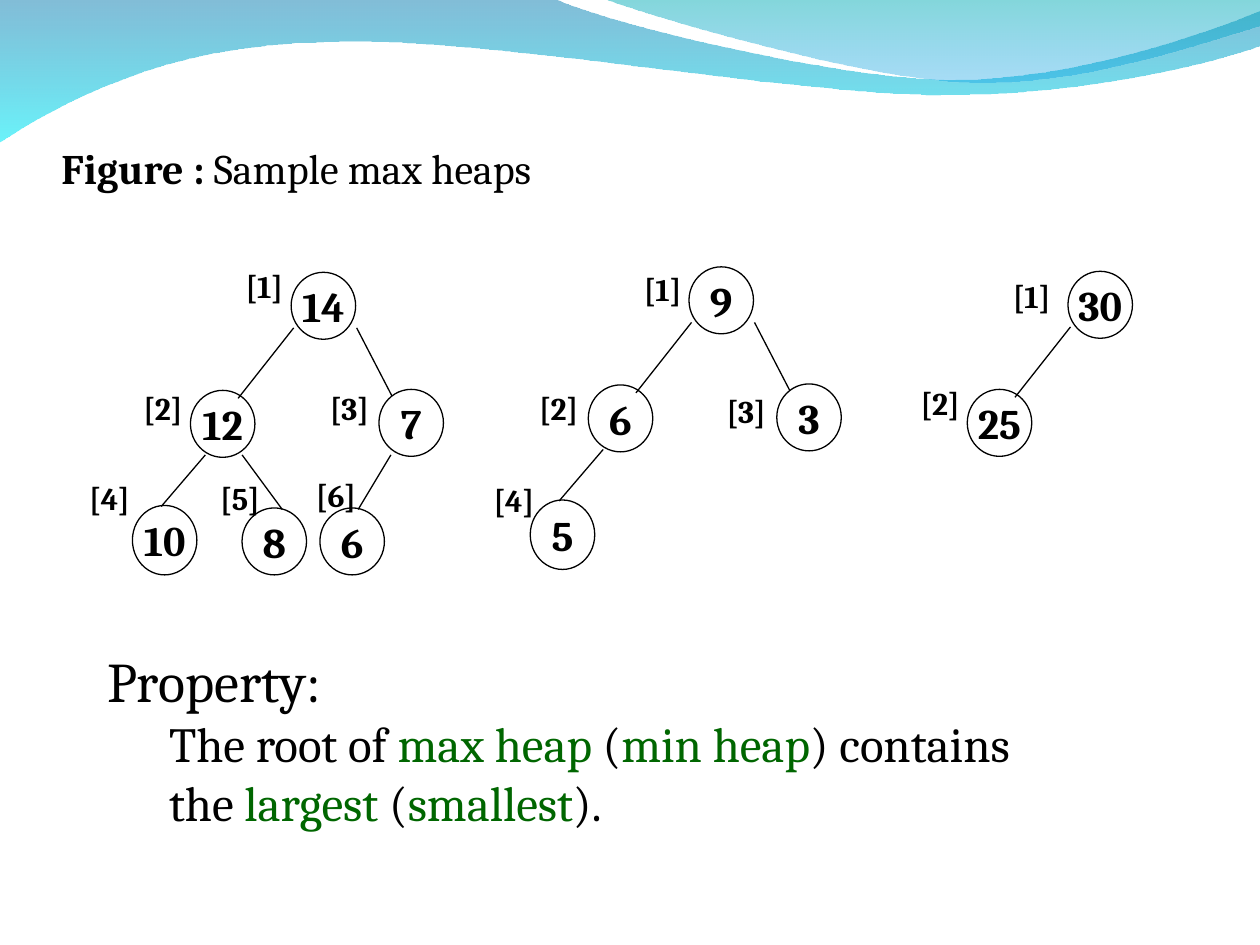
from lxml.etree import SubElement
from pptx import Presentation
from pptx.dml.color import RGBColor
from pptx.enum.shapes import MSO_CONNECTOR, MSO_SHAPE
from pptx.enum.text import MSO_ANCHOR, PP_ALIGN
from pptx.oxml.ns import qn
from pptx.util import Cm, Pt

COLORS = {"text": "000000", "term": "006600",
          "wave_top": "0079AF", "wave_bottom": "00EBF8",
          "crest_top": "00ADB6", "crest_bottom": "009BE5"}
FONT = "Cambria"


def rgb(name):
    return RGBColor.from_string(COLORS[name])


def add_text(left, top, width, height, lines, size, bold=False, wrap=False):
    """Add a text box; each line is a list of (text, colour name) runs."""
    tf = s.shapes.add_textbox(Cm(left), Cm(top), Cm(width), Cm(height)).text_frame
    tf.word_wrap = wrap
    for i, line in enumerate(lines):
        p = tf.paragraphs[0] if i == 0 else tf.add_paragraph()
        p.font.name, p.font.size, p.font.bold = FONT, Pt(size), bold
        for text, color in line:
            r = p.add_run()
            r.text = text
            r.font.color.rgb = rgb(color)
    return tf


prs = Presentation()
prs.slide_width, prs.slide_height = Cm(25.4), Cm(19.05)
s = prs.slides.add_slide(prs.slide_layouts[6])

# Header waves in 1/100 cm: two numbers make a line, six a Bezier curve
waves = [
    ((0, -2),
     [(1118, -2),
      (1209, 43, 1687, 160, 1925, 160),
      (2167, 160, 2433, 66, 2540, 23),
      (2543, 91),
      (2497, 112, 2210, 193, 1895, 191),
      (1580, 191, 970, 71, 653, 86),
      (328, 89, 117, 211, -3, 287)],
     [("wave_top", 49), ("wave_bottom", 59)]),
    ((1217, -2),
     [(1293, 28, 1732, 157, 1953, 165),
      (2174, 175, 2441, 81, 2540, 53),
      (2540, 0)],
     [("crest_top", 49), ("crest_bottom", 34)]),
]
for start, segments, stops in waves:
    anchors = [start] + [segment[-2:] for segment in segments]
    builder = s.shapes.build_freeform(*start, scale=Cm(0.01))
    builder.add_line_segments(anchors[1:], close=True)
    wave = builder.convert_to_shape()
    min_x, min_y = (min(values) for values in zip(*anchors))
    for side, segment in zip(list(wave._element.iter(qn("a:lnTo"))), segments):
        if len(segment) == 6:
            side.tag = qn("a:cubicBezTo")
            side.clear()
            for x, y in zip(segment[::2], segment[1::2]):
                pt = SubElement(side, qn("a:pt"))
                pt.set("x", str(x - min_x))
                pt.set("y", str(y - min_y))
    wave.shadow.inherit = False
    wave.line.fill.background()
    wave.fill.gradient()
    wave.fill.gradient_angle = 270
    for stop, (color, _) in zip(wave.fill.gradient_stops, stops):
        stop.color.rgb = rgb(color)
    for clr, (_, opacity) in zip(wave._element.spPr.iter(qn("a:srgbClr")), stops):
        SubElement(clr, qn("a:alpha")).set("val", str(opacity * 1000))

caption = add_text(0.99, 2.74, 11.53, 1.27,
                   [[("Figure :", "text"), (" Sample max heaps", "text")]], 24)
caption.paragraphs[0].runs[0].font.bold = True

# Heap slots in array order, relative to the root: x, y, height, edge from parent
slots = [
    (0, 0, 1.35, None),
    (-2.03, 2.38, 1.35, (0.05, 1.12, -1.07, 2.54)),
    (1.77, 2.36, 1.35, (1.32, 1.12, 2.03, 2.49)),
    (-3.2, 4.7, 1.4, (-1.73, 3.68, -2.62, 4.72)),
    (-0.99, 4.75, 1.35, (-0.99, 3.68, -0.18, 4.78)),
    (0.58, 4.75, 1.35, (2.01, 3.68, 1.35, 4.78)),
]
# Each heap: root corner, values, index label corners
heaps = [
    (5.87, 5.49, [14, 12, 7, 10, 8, 6],
     [(4.7, 5.26), (2.64, 7.72), (6.4, 7.72), (1.55, 9.53), (4.19, 9.53), (6.12, 9.47)]),
    (13.89, 5.38, [9, 6, 3, 5],
     [(12.73, 5.31), (10.62, 7.72), (14.4, 7.77), (9.7, 9.58)]),
    (21.53, 5.47, [30, 25],
     [(20.17, 5.46), (18.31, 7.62)]),
]
for root_x, root_y, values, labels in heaps:
    nodes = zip(values, labels, slots)
    for index, (value, label, (dx, dy, height, edge)) in enumerate(nodes, 1):
        node = s.shapes.add_shape(MSO_SHAPE.OVAL, Cm(root_x + dx), Cm(root_y + dy),
                                  Cm(1.3), Cm(height))
        node.shadow.inherit = False
        node.fill.background()
        node.line.color.rgb = rgb("text")
        node.line.width = Pt(0.75)
        tf = node.text_frame
        tf.word_wrap = False
        tf.vertical_anchor = MSO_ANCHOR.MIDDLE
        p = tf.paragraphs[0]
        p.text = str(value)
        p.alignment = PP_ALIGN.CENTER
        p.font.name, p.font.size, p.font.bold = FONT, Pt(24), True
        p.font.color.rgb = rgb("text")
        if edge:
            x1, y1, x2, y2 = edge
            line = s.shapes.add_connector(MSO_CONNECTOR.STRAIGHT,
                                          Cm(root_x + x1), Cm(root_y + y1),
                                          Cm(root_x + x2), Cm(root_y + y2))
            line.line.color.rgb = rgb("text")
            line.line.width = Pt(0.75)
            SubElement(line._element.spPr, qn("a:effectLst"))
        add_text(*label, 1.37, 1.02, [[(f"[{index}]", "text")]], 18, bold=True)

rule = add_text(1.91, 12.9, 22.23, 3.99, [
    [("Property:", "text")],
    [("The root of ", "text"), ("max heap", "term"), (" (", "text"),
     ("min heap", "term"), (") contains", "text")],
    [("the ", "text"), ("largest", "term"), (" (", "text"),
     ("smallest", "term"), (").", "text")],
], 28, wrap=True)
rule.paragraphs[0].font.size = Pt(32)
for p in rule.paragraphs[1:]:
    p._p.get_or_add_pPr().set("marL", str(Cm(1.25)))

prs.save("out.pptx")
